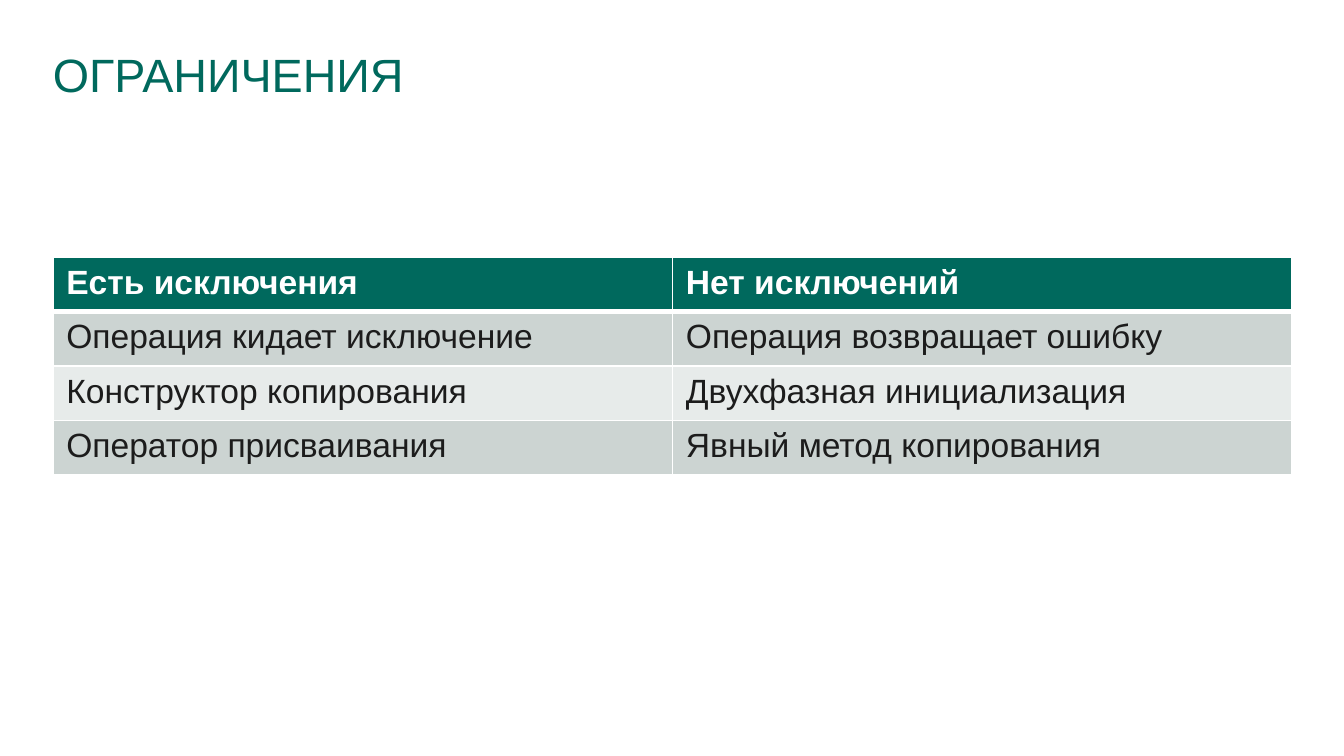
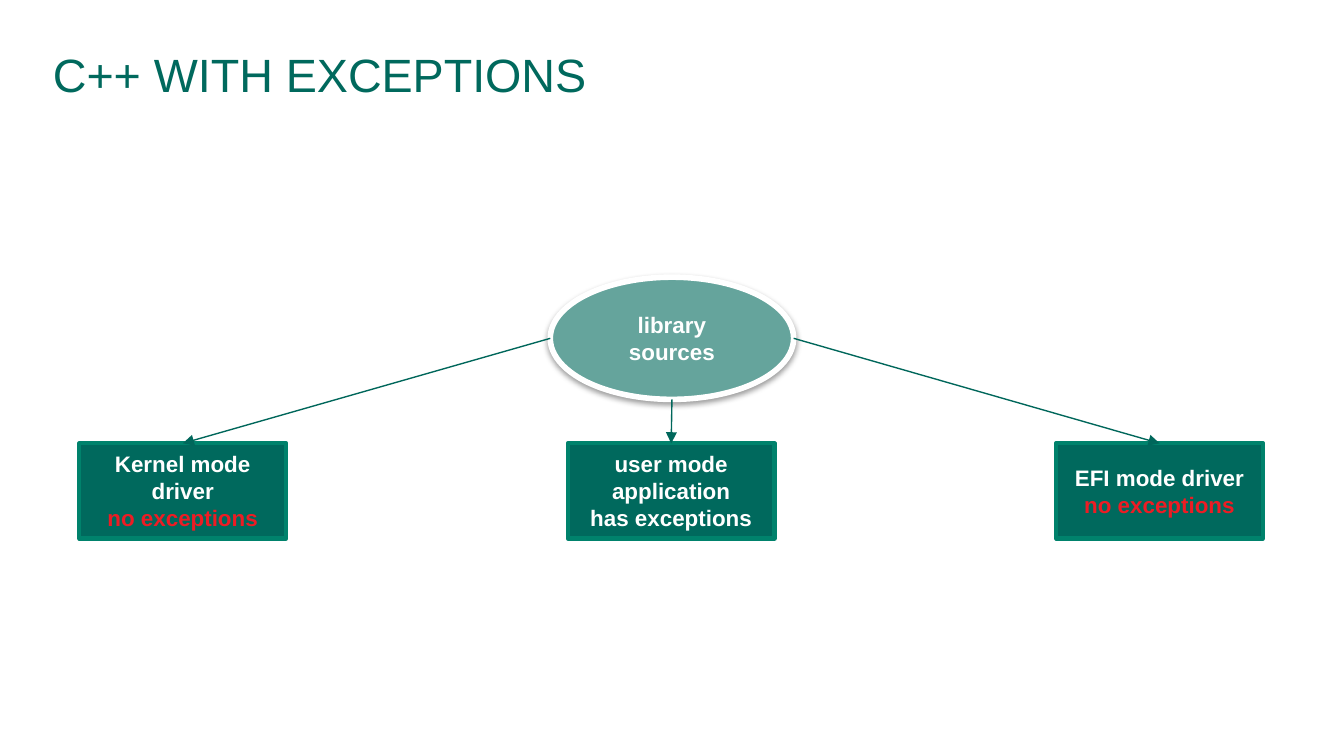
import pptx
import pptx.util
import pptx.dml.color
import pptx.enum.shapes
import pptx.enum.text
import pptx.oxml
import pptx.oxml.ns
from lxml import etree
from dataclasses import dataclass

Cm, Pt = pptx.util.Cm, pptx.util.Pt
SHAPE = pptx.enum.shapes.MSO_SHAPE
ALIGN = pptx.enum.text.PP_ALIGN
ANCHOR = pptx.enum.text.MSO_ANCHOR

# Content
LIMITS_TITLE = "ОГРАНИЧЕНИЯ"
LIMITS = [
    ("Есть исключения", "Нет исключений"),
    ("Операция кидает исключение", "Операция возвращает ошибку"),
    ("Конструктор копирования", "Двухфазная инициализация"),
    ("Оператор присваивания", "Явный метод копирования"),
]
BUILD_TITLE = "C++ WITH EXCEPTIONS"
SOURCE = "library sources"
TARGETS = [  # name, exception support, whether it is a warning
    ("Kernel mode driver", "no exceptions", True),
    ("user mode application", "has exceptions", False),
    ("EFI mode driver", "no exceptions", True),
]


@dataclass(frozen=True)
class Theme:
    """Colours, font and type sizes of the deck."""
    font: str = "Arial"
    green: str = "00695D"
    edge: str = "00826C"
    arrow: str = "00675B"
    oval: str = "65A49C"
    band_dark: str = "CCD4D2"
    band_light: str = "E7EBEA"
    ink: str = "1C1C1C"
    white: str = "FFFFFF"
    warning: str = "ED1C24"
    title_size: float = 25
    title_leading: float = 29.2
    table_size: float = 18
    label_size: float = 12


T = Theme()
MARGIN, CONTENT_W = Cm(1), Cm(23.42)


def rgb(value):
    """Turn a hex string into a colour."""
    return pptx.dml.color.RGBColor.from_string(value)


def style(p, size, color, bold=False):
    """Format every run of a paragraph."""
    for r in p.runs:
        r.font.name, r.font.size, r.font.bold = T.font, Pt(size), bold
        r.font.color.rgb = rgb(color)


def add_slide(prs, title):
    """Add a slide with the shared title style."""
    slide = prs.slides.add_slide(prs.slide_layouts[5])
    sp = slide.shapes.title
    sp.left, sp.top, sp.width, sp.height = MARGIN, Cm(0.9), CONTENT_W, Cm(1.88)
    tf = sp.text_frame
    tf.text = title
    tf.auto_size = pptx.enum.text.MSO_AUTO_SIZE.NONE
    tf.margin_left = tf.margin_right = tf.margin_top = tf.margin_bottom = 0
    tf.vertical_anchor = ANCHOR.TOP
    p = tf.paragraphs[0]
    p.alignment, p.line_spacing = ALIGN.LEFT, Pt(T.title_leading)
    style(p, T.title_size, T.green)
    return slide


def border(cell, side, width):
    """Draw one white cell border; side is L, R, T or B."""
    cell._tc.get_or_add_tcPr().append(pptx.oxml.parse_xml(
        f'<a:ln{side} {pptx.oxml.ns.nsdecls("a")} w="{Pt(width)}"><a:solidFill>'
        f'<a:srgbClr val="{T.white}"/></a:solidFill></a:ln{side}>'))


def add_table(slide, rows):
    """Add a banded two-column table with a heading row."""
    n_cols = len(rows[0])
    table = slide.shapes.add_table(len(rows), n_cols, MARGIN, Cm(4.86),
                                   CONTENT_W, Cm(4.12)).table
    for i, row in enumerate(rows):
        head = i == 0
        fill = T.green if head else T.band_dark if i % 2 else T.band_light
        for j, text in enumerate(row):
            cell = table.cell(i, j)
            cell.text = text
            style(cell.text_frame.paragraphs[0], T.table_size,
                  T.white if head else T.ink, head)
            for side in "LRTB":
                under_head = (i, side) in ((0, "B"), (1, "T"))
                border(cell, side, 3 if under_head else 1)
            cell.fill.solid()
            cell.fill.fore_color.rgb = rgb(fill)


def add_node(slide, kind, box, fill, line, line_width, lines):
    """Add a labelled shape; lines holds (text, colour) pairs."""
    sp = slide.shapes.add_shape(kind, *box)
    sp.shadow.inherit = False
    sp.fill.solid()
    sp.fill.fore_color.rgb = rgb(fill)
    sp.line.color.rgb = rgb(line)
    sp.line.width = Pt(line_width)
    tf = sp.text_frame
    tf.word_wrap, tf.vertical_anchor = True, ANCHOR.MIDDLE
    tf.text = "\n".join(text for text, _ in lines)
    for p, (_, color) in zip(tf.paragraphs, lines):
        p.alignment = ALIGN.CENTER
        style(p, T.label_size, color, True)
    return sp


def drop_shadow(sp):
    """Give a shape a soft shadow straight below it."""
    effects = sp._element.spPr.find(pptx.oxml.ns.qn("a:effectLst"))
    effects.append(pptx.oxml.parse_xml(
        f'<a:outerShdw {pptx.oxml.ns.nsdecls("a")} blurRad="{Pt(3.1)}" '
        f'dist="{Pt(1.6)}" dir="5400000" rotWithShape="0">'
        '<a:srgbClr val="000000"><a:alpha val="38000"/></a:srgbClr></a:outerShdw>'))


def add_arrow(slide, start, target):
    """Draw an arrow from a point to the top of a shape."""
    line = slide.shapes.add_connector(
        pptx.enum.shapes.MSO_CONNECTOR.STRAIGHT, *start, *start)
    line.end_connect(target, 0)
    line.line.color.rgb = rgb(T.arrow)
    line.line.width = Pt(0.75)
    qn = pptx.oxml.ns.qn
    etree.SubElement(line.line._get_or_add_ln(), qn("a:tailEnd"), type="triangle")
    etree.SubElement(line._element.spPr, qn("a:effectLst"))


def add_build_diagram(slide):
    """Draw the sources and the binaries built from them."""
    oval = add_node(slide, SHAPE.OVAL, (Cm(10.4), Cm(5.24), Cm(4.6), Cm(2.31)),
                    T.oval, T.white, 3, [(SOURCE, T.white)])
    drop_shadow(oval)
    mid_x, mid_y = oval.left + oval.width // 2, oval.top + oval.height // 2
    starts = [(oval.left, mid_y), (mid_x, oval.top + oval.height),
              (oval.left + oval.width, mid_y)]
    left, pitch = Cm(1.5), Cm(9.23)
    for i, (name, support, warn) in enumerate(TARGETS):
        box = (left + i * pitch, Cm(8.38), Cm(3.91), Cm(1.8))
        node = add_node(slide, SHAPE.RECTANGLE, box, T.green, T.edge, 2.25,
                        [(name, T.white), (support, T.warning if warn else T.white)])
        add_arrow(slide, starts[i], node)


prs = pptx.Presentation()
prs.slide_width, prs.slide_height = Cm(25.4), Cm(14.29)
add_table(add_slide(prs, LIMITS_TITLE), LIMITS)
add_build_diagram(add_slide(prs, BUILD_TITLE))
prs.save("out.pptx")
